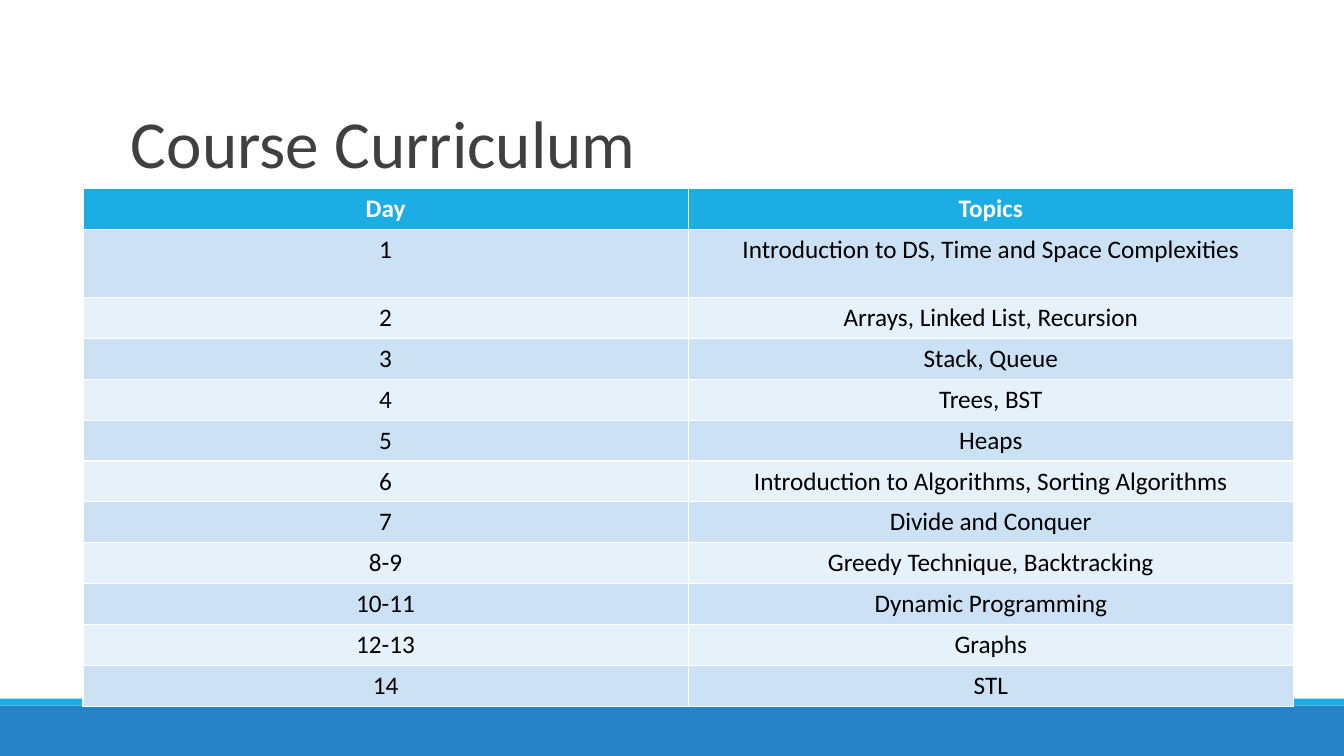
from lxml import etree
from pptx import Presentation, util as u
from pptx.dml.color import RGBColor
from pptx.enum import shapes, text
from pptx.oxml.ns import qn

WIDTH, HEIGHT = 960, 540
BLUE, CYAN, WHITE, BLACK = "2683C6", "1CADE4", "FFFFFF", "000000"
GREY, CHARCOAL = "7F7F7F", "404040"
BANDS = ["CCE2F4", "E7F1F9"]
ROW_HEIGHT, TALL_ROW_HEIGHT = 29.2, 48.6
CURRICULUM = [
    ("Day", "Topics"),
    ("1", "Introduction to DS, Time and Space Complexities"),
    ("2", "Arrays, Linked List, Recursion"),
    ("3", "Stack, Queue"),
    ("4", "Trees, BST"),
    ("5", "Heaps"),
    ("6", "Introduction to Algorithms, Sorting Algorithms"),
    ("7", "Divide and Conquer"),
    ("8-9", "Greedy Technique, Backtracking"),
    ("10-11", "Dynamic Programming"),
    ("12-13", "Graphs"),
    ("14", "STL"),
]


def color(value):
    return RGBColor.from_string(value)


class Slide:
    font = "Calibri"
    border_width = 0.96

    def __init__(self, page):
        self.page = page

    def style(self, para, size, ink, bold=False):
        for span in para.runs:
            span.font.name = self.font
            span.font.size = u.Pt(size)
            span.font.bold = bold
            span.font.color.rgb = color(ink)

    def bar(self, top, height, fill):
        box = self.page.shapes.add_shape(
            shapes.MSO_SHAPE.RECTANGLE, 0, u.Pt(top), u.Pt(WIDTH), u.Pt(height))
        box.shadow.inherit = False
        box.fill.solid()
        box.fill.fore_color.rgb = color(fill)
        box.line.fill.background()

    def rule(self, left, right, top, ink, width):
        line = self.page.shapes.add_connector(
            shapes.MSO_CONNECTOR.STRAIGHT,
            u.Pt(left), u.Pt(top), u.Pt(right), u.Pt(top))
        line.line.color.rgb = color(ink)
        line.line.width = u.Pt(width)
        etree.SubElement(line._element.spPr, qn("a:effectLst"))

    def title(self, words, left, top, width, height):
        box = self.page.shapes.add_textbox(
            u.Pt(left), u.Pt(top), u.Pt(width), u.Pt(height))
        frame = box.text_frame
        frame.word_wrap = True
        frame.vertical_anchor = text.MSO_ANCHOR.BOTTOM
        frame.text = words
        para = frame.paragraphs[0]
        para.line_spacing = 0.85
        self.style(para, 48, CHARCOAL)

    def borders(self, cell):
        properties = cell._tc.get_or_add_tcPr()
        for position, side in enumerate(("lnL", "lnR", "lnT", "lnB")):
            edge = etree.Element(qn(f"a:{side}"), w=str(u.Pt(self.border_width)))
            fill = etree.SubElement(edge, qn("a:solidFill"))
            etree.SubElement(fill, qn("a:srgbClr"), val=WHITE)
            properties.insert(position, edge)

    def table(self, rows, left, top, width, heights):
        table = self.page.shapes.add_table(
            len(rows), len(rows[0]), u.Pt(left), u.Pt(top),
            u.Pt(width), u.Pt(sum(heights))).table
        for row, height in zip(table.rows, heights):
            row.height = u.Pt(height)
        for index, row in enumerate(rows):
            header = index == 0
            for column, words in enumerate(row):
                cell = table.cell(index, column)
                cell.text = words
                cell.fill.solid()
                cell.fill.fore_color.rgb = color(
                    CYAN if header else BANDS[(index - 1) % 2])
                para = cell.text_frame.paragraphs[0]
                para.alignment = text.PP_ALIGN.CENTER
                self.style(para, 18, WHITE if header else BLACK, header)
                self.borders(cell)


def main():
    deck = Presentation()
    deck.slide_width, deck.slide_height = u.Pt(WIDTH), u.Pt(HEIGHT)
    slide = Slide(deck.slides.add_slide(deck.slide_layouts[6]))
    slide.bar(504, 36, BLUE)
    slide.bar(499, 5, CYAN)
    slide.rule(94, 879, 136.8, GREY, 0.75)
    slide.title("Course Curriculum", 86.4, 62.6, 792, 71.3)
    heights = [ROW_HEIGHT] * len(CURRICULUM)
    heights[1] = TALL_ROW_HEIGHT
    slide.table(CURRICULUM, 59.3, 134.7, 864.6, heights)
    deck.save("out.pptx")


if __name__ == "__main__":
    main()
